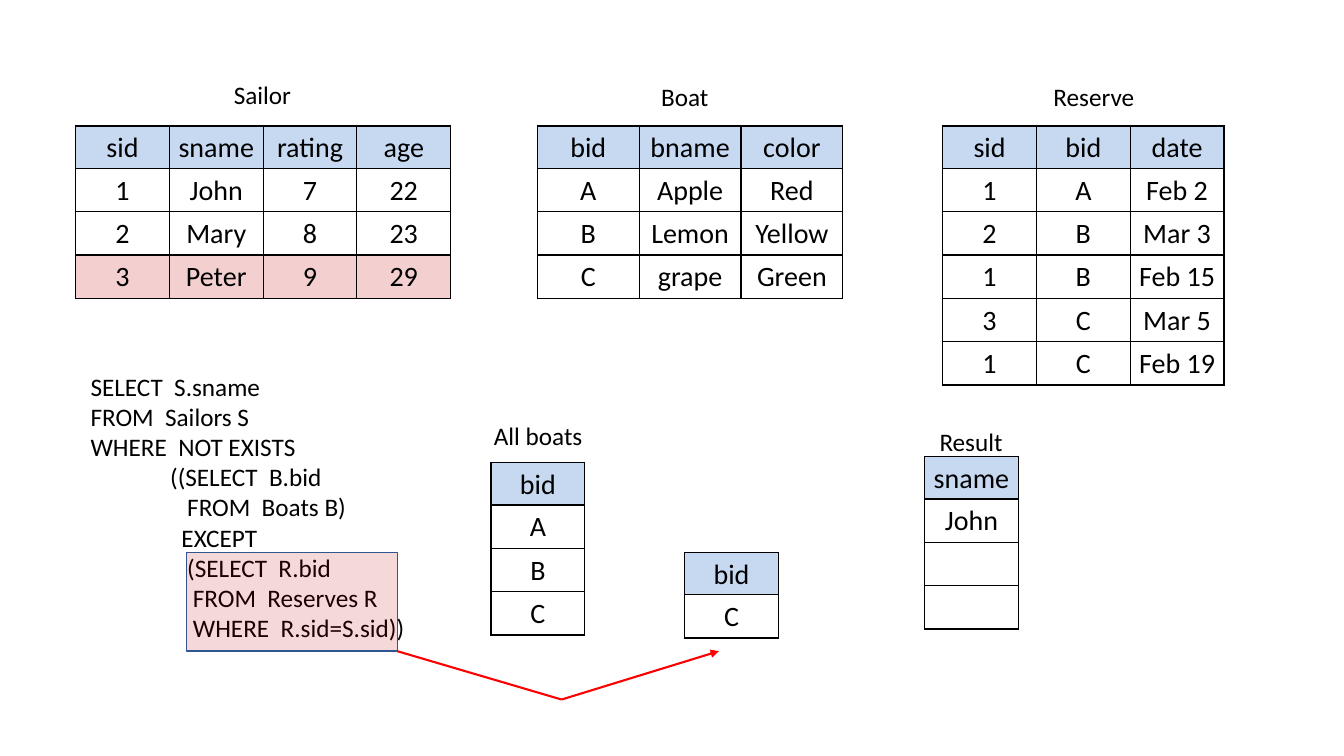
from dataclasses import dataclass, field
from typing import Any

from lxml import etree
from pptx import Presentation
from pptx import util as u
from pptx.dml.color import RGBColor
from pptx.enum import shapes, text
from pptx.oxml.ns import qn

COLORS = {
    "text": "000000",
    "border": "000000",
    "header": "C6D9F1",
    "white": "FFFFFF",
    "highlight": "C00000",
    "outline": "325491",
    "arrow": "FF0000",
}
FONT = "Calibri"
HEADER_HEIGHT = 0.42
ROW_HEIGHT = 0.43


@dataclass
class Relation:
    left: float
    top: float
    column_width: float
    rows: list[tuple[str, ...]]
    row_tints: dict[int, tuple[str, int]] = field(default_factory=dict)


@dataclass
class Label:
    content: str
    left: float
    top: float
    width: float
    height: float = 0.4


RELATIONS = [
    Relation(0.75, 1.25, 0.93, [
        ("sid", "sname", "rating", "age"),
        ("1", "John", "7", "22"),
        ("2", "Mary", "8", "23"),
        ("3", "Peter", "9", "29"),
    ], {1: ("white", 23), 3: ("highlight", 19)}),
    Relation(5.33, 1.25, 1.01, [
        ("bid", "bname", "color"),
        ("A", "Apple", "Red"),
        ("B", "Lemon", "Yellow"),
        ("C", "grape", "Green"),
    ]),
    Relation(9.35, 1.25, 0.93, [
        ("sid", "bid", "date"),
        ("1", "A", "Feb 2"),
        ("2", "B", "Mar 3"),
        ("1", "B", "Feb 15"),
        ("3", "C", "Mar 5"),
        ("1", "C", "Feb 19"),
    ]),
    Relation(4.87, 4.59, 0.93, [("bid",), ("A",), ("B",), ("C",)]),
    Relation(9.17, 4.53, 0.93, [("sname",), ("John",), ("",), ("",)]),
    Relation(6.79, 5.48, 0.93, [("bid",), ("C",)]),
]

QUERY = """SELECT  S.sname
FROM  Sailors S
WHERE  NOT EXISTS
              ((SELECT  B.bid
                 FROM  Boats B)
                EXCEPT
                 (SELECT  R.bid
                  FROM  Reserves R
                  WHERE  R.sid=S.sid))"""

LABELS = [
    Label(QUERY, 0.8, 3.63, 3.36, 2.83),
    Label("Sailor", 2.22, 0.74, 0.78),
    Label("Boat", 6.46, 0.76, 0.67),
    Label("Reserve", 10.35, 0.76, 1.01),
    Label("All boats", 4.8, 4.12, 1.09),
    Label("Result", 9.22, 4.18, 0.83),
]

ARROW_POINTS = [(3.94, 6.46), (5.57, 6.94), (7.13, 6.46)]


def rgb(name: str) -> RGBColor:
    return RGBColor.from_string(COLORS[name])


def write_text(frame: Any, content: str, *, size: int, alignment: Any = None,
               line_spacing: float | None = None) -> None:
    frame.text = content
    for paragraph in frame.paragraphs:
        paragraph.alignment = alignment
        paragraph.line_spacing = line_spacing
        for run in paragraph.runs:
            run.font.size = u.Pt(size)
            run.font.name = FONT
            run.font.color.rgb = rgb("text")


def fill_solid(fill: Any, properties: Any, color: str, opacity: int = 100) -> None:
    """Fill a shape or cell whose XML properties hold the fill element."""
    fill.solid()
    fill.fore_color.rgb = rgb(color)
    if opacity < 100:
        color_element = properties.find(f"{qn('a:solidFill')}/{qn('a:srgbClr')}")
        etree.SubElement(color_element, qn("a:alpha"), val=str(opacity * 1000))


def add_borders(properties: Any) -> None:
    for side in ("lnL", "lnR", "lnT", "lnB"):
        line = etree.SubElement(properties, qn(f"a:{side}"), w=str(u.Pt(1)))
        solid = etree.SubElement(line, qn("a:solidFill"))
        etree.SubElement(solid, qn("a:srgbClr"), val=COLORS["border"])


def add_relation(slide: Any, relation: Relation) -> None:
    row_count, column_count = len(relation.rows), len(relation.rows[0])
    height = HEADER_HEIGHT + ROW_HEIGHT * (row_count - 1)
    table = slide.shapes.add_table(
        row_count, column_count, u.Inches(relation.left), u.Inches(relation.top),
        u.Inches(relation.column_width * column_count), u.Inches(height)).table
    table.first_row = table.horz_banding = False
    for column in table.columns:
        column.width = u.Inches(relation.column_width)
    tints = {0: ("header", 100)} | relation.row_tints
    for row_index, values in enumerate(relation.rows):
        table.rows[row_index].height = u.Inches(ROW_HEIGHT if row_index else HEADER_HEIGHT)
        for column_index, value in enumerate(values):
            cell = table.cell(row_index, column_index)
            cell.margin_left = cell.margin_right = u.Inches(0.07)
            cell.margin_top = cell.margin_bottom = 0
            write_text(cell.text_frame, value, size=20,
                       alignment=text.PP_ALIGN.CENTER, line_spacing=1.15)
            properties = cell._tc.get_or_add_tcPr()
            add_borders(properties)
            if row_index in tints:
                fill_solid(cell.fill, properties, *tints[row_index])
            else:
                cell.fill.background()


def add_label(slide: Any, label: Label) -> None:
    frame = slide.shapes.add_textbox(
        u.Inches(label.left), u.Inches(label.top),
        u.Inches(label.width), u.Inches(label.height)).text_frame
    frame.word_wrap = False
    frame.auto_size = text.MSO_AUTO_SIZE.SHAPE_TO_FIT_TEXT
    write_text(frame, label.content, size=18)


def add_subquery_highlight(slide: Any) -> None:
    shape = slide.shapes.add_shape(
        shapes.MSO_SHAPE.RECTANGLE, u.Inches(1.85), u.Inches(5.48),
        u.Inches(2.09), u.Inches(0.98))
    shape.shadow.inherit = False
    fill_solid(shape.fill, shape._element.spPr, "highlight", 15)
    shape.line.color.rgb = rgb("outline")
    shape.line.width = u.Pt(1)


def add_arrow_segment(slide: Any, start: tuple[float, float],
                      end: tuple[float, float], has_head: bool) -> None:
    connector = slide.shapes.add_connector(
        shapes.MSO_CONNECTOR.STRAIGHT, *map(u.Inches, start + end))
    connector.line.color.rgb = rgb("arrow")
    connector.line.width = u.Pt(1.5)
    properties = connector._element.spPr
    etree.SubElement(properties, qn("a:effectLst"))
    if has_head:
        etree.SubElement(properties.find(qn("a:ln")), qn("a:tailEnd"), type="triangle")


def main() -> None:
    presentation = Presentation()
    presentation.slide_width = u.Inches(13.33)
    presentation.slide_height = u.Inches(7.5)
    slide = presentation.slides.add_slide(presentation.slide_layouts[6])
    for relation in RELATIONS:
        add_relation(slide, relation)
    for label in LABELS:
        add_label(slide, label)
    add_subquery_highlight(slide)
    for start, end in zip(ARROW_POINTS, ARROW_POINTS[1:]):
        add_arrow_segment(slide, start, end, has_head=end == ARROW_POINTS[-1])
    presentation.save("out.pptx")


if __name__ == "__main__":
    main()
